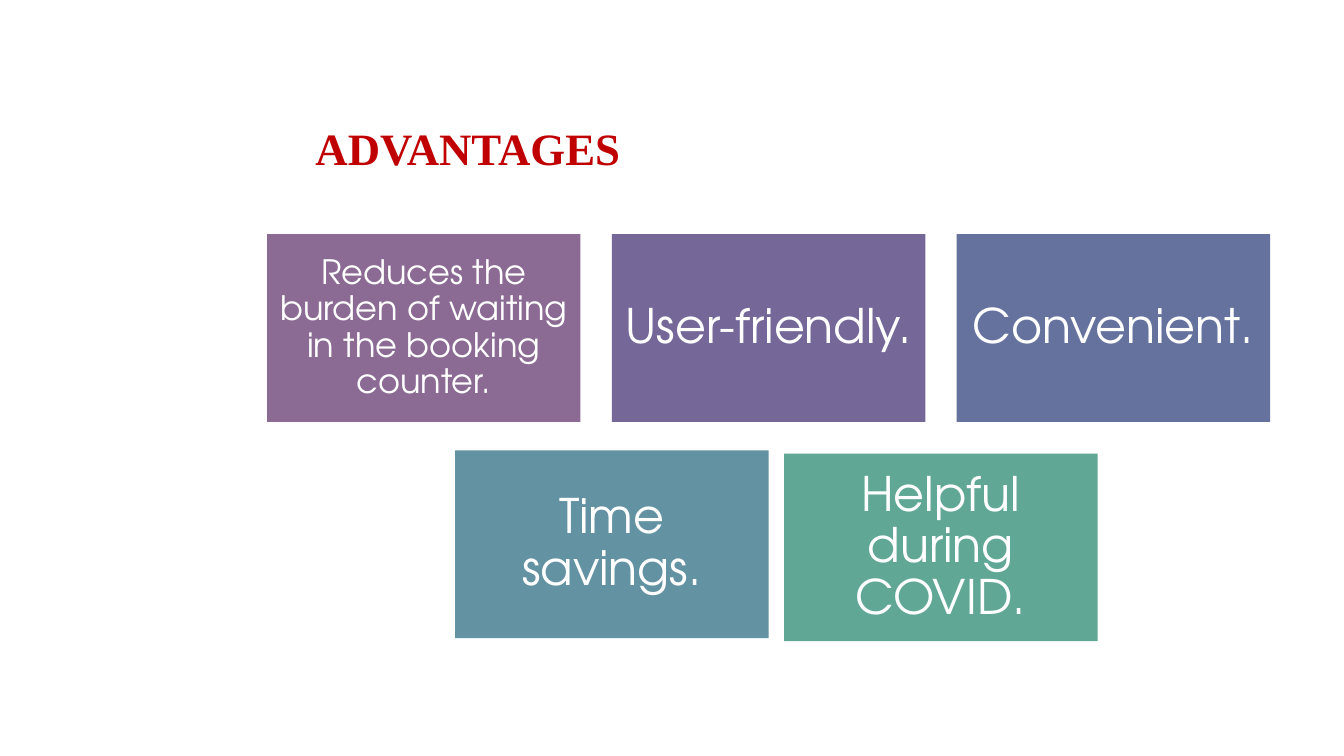
from pptx import Presentation
from pptx.dml.color import RGBColor
from pptx.enum import shapes, text
from pptx.util import Cm, Pt

# Content
HEADING = "ADVANTAGES"
# wording, fill, text size, inner margin (cm)
TOP_ROW = [
    ("Reduces the burden of waiting in the booking counter.", "plum", 24, 0.25),
    ("User-friendly.", "violet", 34, 0.35),
    ("Convenient.", "indigo", 34, 0.35),
]
# wording, fill, left and top (cm)
LOWER_ROW = [
    ("Time savings.", "teal", 11.47, 11.35),
    ("Helpful during COVID.", "green", 19.76, 11.43),
]
COLORS = {
    "heading": "C00000", "card_text": "FFFFFF",
    "plum": "8B6A94", "violet": "756899", "indigo": "65729E",
    "teal": "6392A2", "green": "61A796",
}
CARD_W, CARD_H = 7.9, 4.73
ROW_LEFT, ROW_TOP, ROW_STEP = 6.73, 5.9, 8.69


def color(name):
    return RGBColor.from_string(COLORS[name])


def write(frame, wording, font, size, ink, align, spacing, margins, anchor, bold=False):
    frame.word_wrap = True
    frame.auto_size = text.MSO_AUTO_SIZE.NONE
    frame.vertical_anchor = anchor
    frame.margin_left = frame.margin_right = Cm(margins[0])
    frame.margin_top = frame.margin_bottom = Cm(margins[1])
    line = frame.paragraphs[0]
    line.alignment = align
    line.line_spacing = spacing
    line.space_before = Pt(0)
    run = line.add_run()
    run.text = wording
    run.font.name = font
    run.font.size = Pt(size)
    run.font.bold = bold
    run.font.color.rgb = color(ink)


def add_card(slide, wording, fill, left, top, size=34, margin=0.35):
    card = slide.shapes.add_shape(
        shapes.MSO_SHAPE.RECTANGLE, Cm(left), Cm(top), Cm(CARD_W), Cm(CARD_H))
    card.shadow.inherit = False
    card.fill.solid()
    card.fill.fore_color.rgb = color(fill)
    card.line.fill.background()
    write(card.text_frame, wording, "TeX Gyre Adventor", size, "card_text",
          text.PP_ALIGN.CENTER, 0.9, (margin, margin), text.MSO_ANCHOR.MIDDLE)


def main():
    deck = Presentation()
    deck.slide_width, deck.slide_height = Cm(33.87), Cm(19.05)
    slide = deck.slides.add_slide(deck.slide_layouts[5])

    # Heading
    heading = slide.shapes.title
    heading.left, heading.top = Cm(7.62), Cm(2.97)
    heading.width, heading.height = Cm(23.5), Cm(2.26)
    write(heading.text_frame, HEADING, "Times New Roman", 32, "heading",
          text.PP_ALIGN.LEFT, 0.95, (0.33, 0.18), text.MSO_ANCHOR.TOP, bold=True)

    # Three evenly spaced cards
    for column, (wording, fill, size, margin) in enumerate(TOP_ROW):
        add_card(slide, wording, fill, ROW_LEFT + column * ROW_STEP, ROW_TOP, size, margin)

    # Two cards below
    for wording, fill, left, top in LOWER_ROW:
        add_card(slide, wording, fill, left, top)

    deck.save("out.pptx")


if __name__ == "__main__":
    main()
